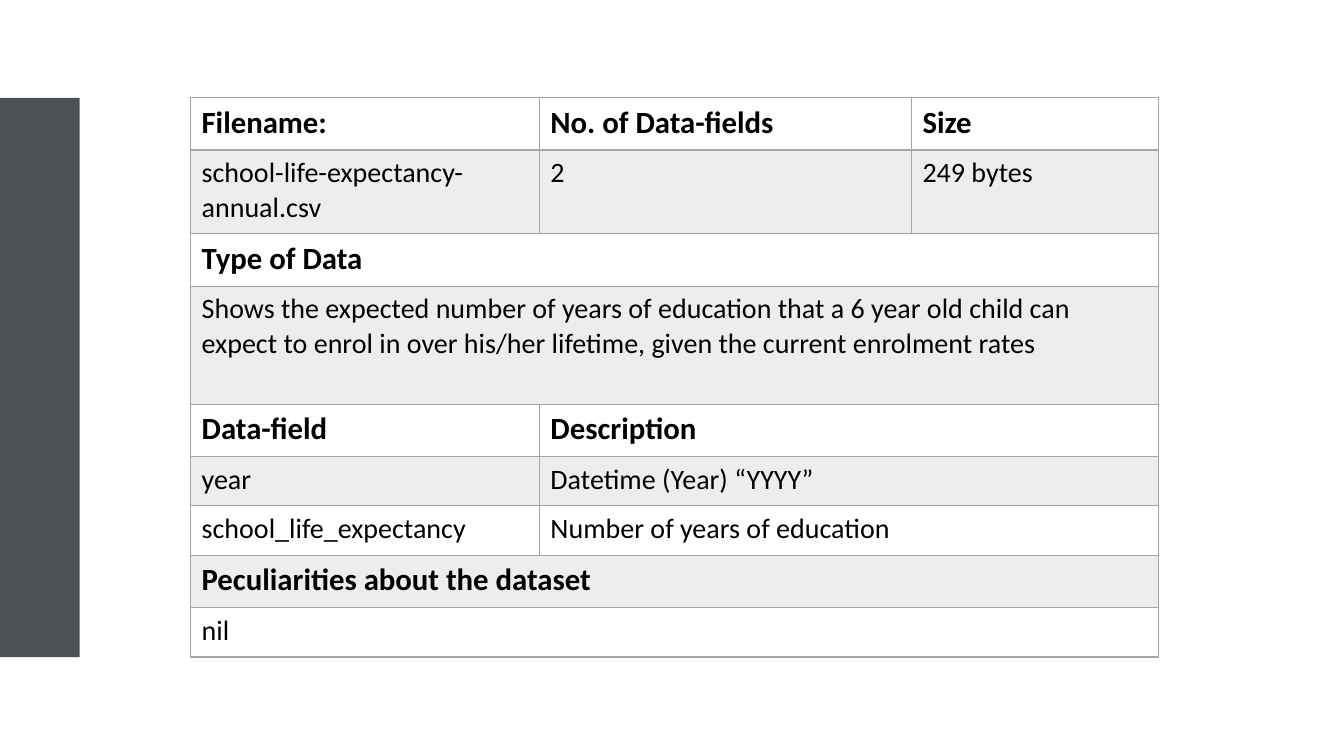
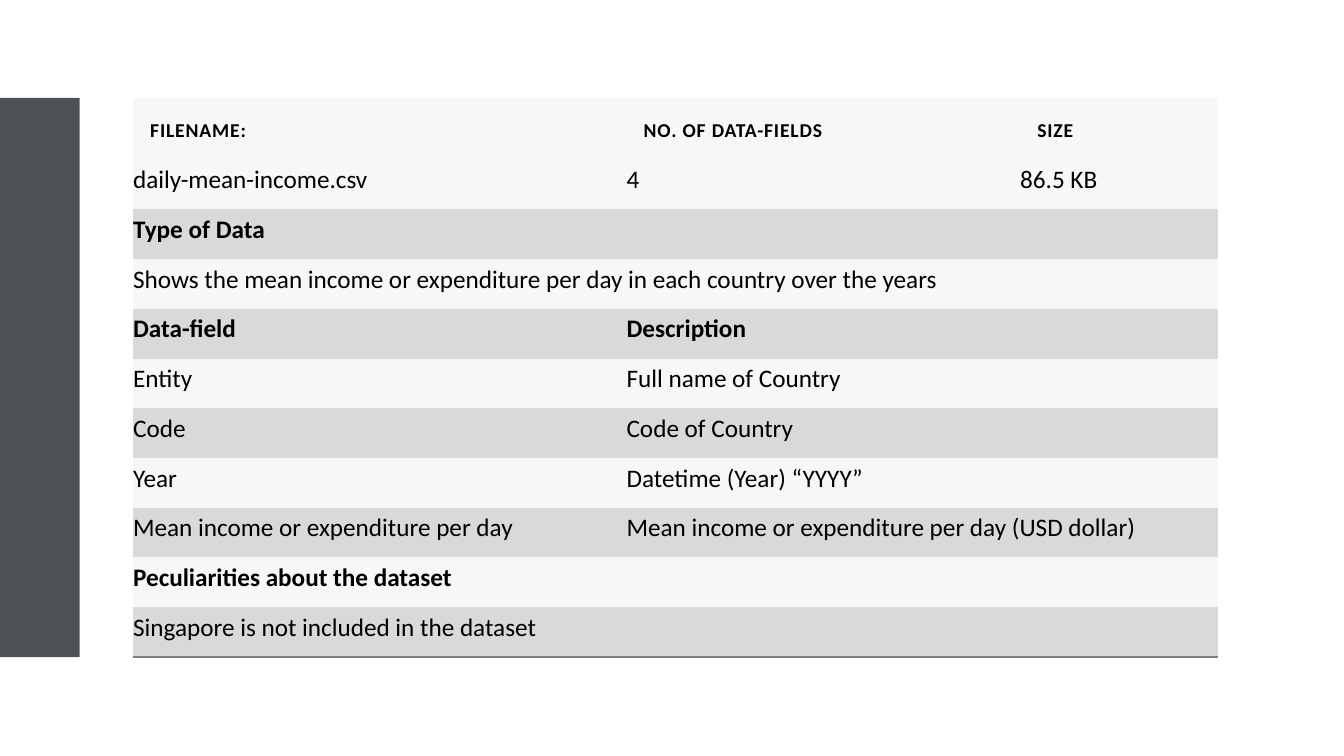
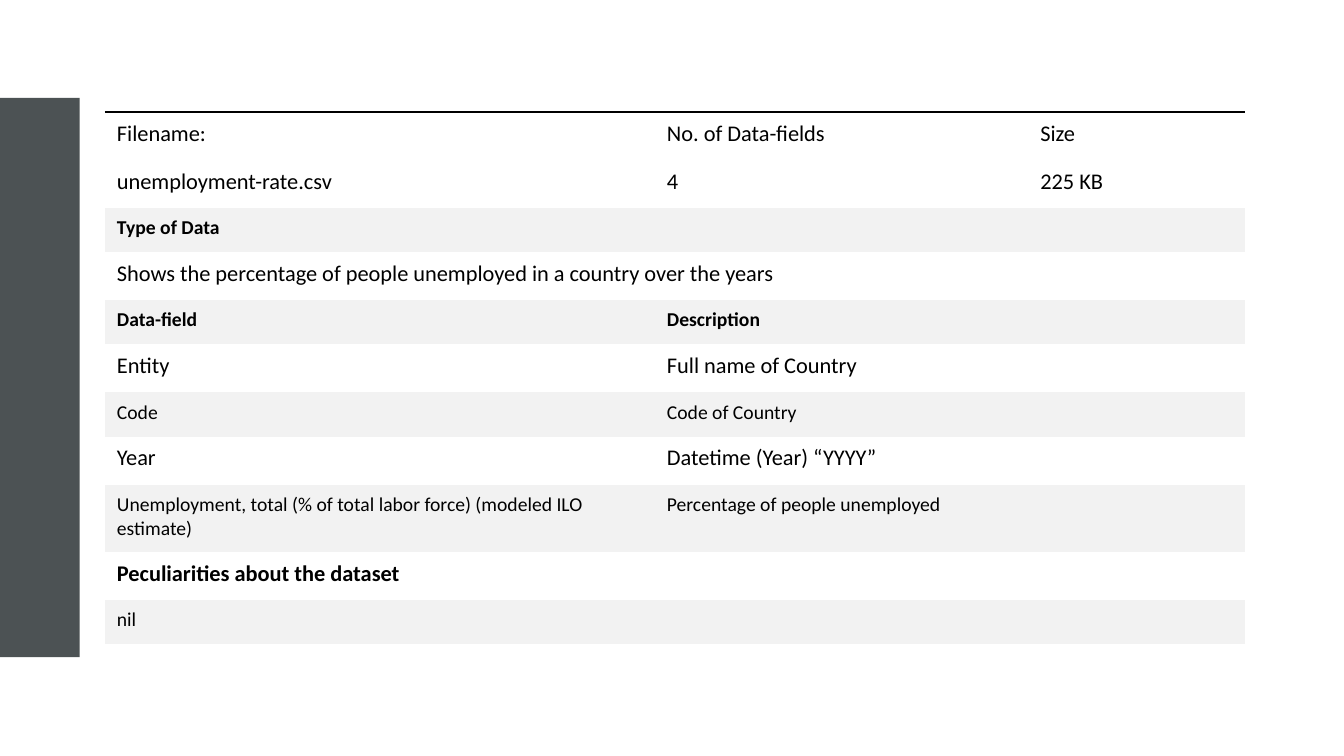
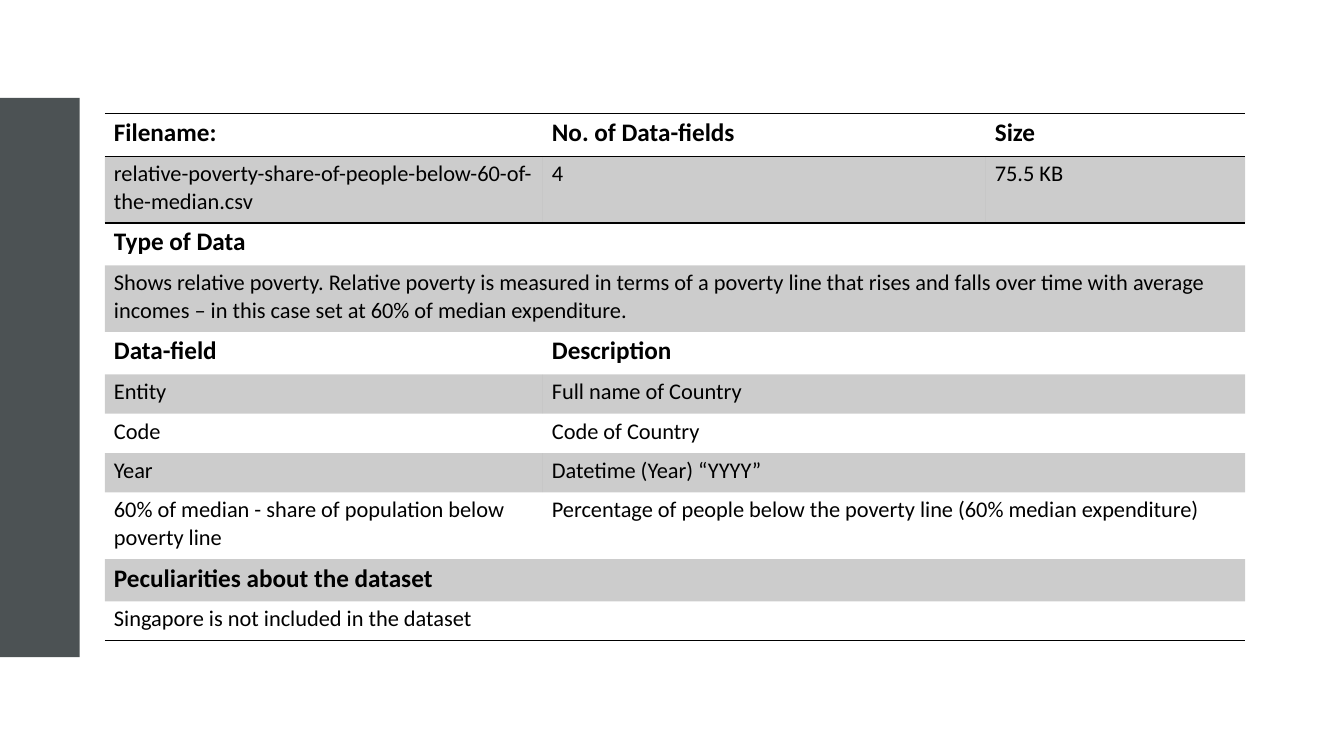
from dataclasses import dataclass, field

from lxml import etree
from pptx import Presentation
from pptx.dml.color import RGBColor
from pptx.enum.shapes import MSO_SHAPE
from pptx.enum.text import MSO_ANCHOR
from pptx.oxml.ns import qn
from pptx.util import Inches, Pt

RECT = MSO_SHAPE.RECTANGLE
TOP = MSO_ANCHOR.TOP
BOTTOM = MSO_ANCHOR.BOTTOM
NO_STYLE = "{2D5ABB26-0587-4C30-8999-92F81FD0307C}"
SIDES = {"l": "a:lnL", "r": "a:lnR", "t": "a:lnT", "b": "a:lnB"}

FONT = "Calibri"
BLACK = "000000"
SLATE = "4C5254"
GRAY = "A5A5A5"
LABELS = ("Filename:", "Type of Data", "Data-field",
          "Peculiarities about the dataset")
HEAD = ["Filename:", "No. of Data-fields", "Size"]
TYPE = ["Type of Data"]
FIELDS = ["Data-field", "Description"]
NOTES = ["Peculiarities about the dataset"]
COUNTRY = [["Entity", "Full name of Country"],
           ["Code", "Code of Country"],
           ["Year", "Datetime (Year) “YYYY”"]]


@dataclass
class Look:
    """How one table is drawn; a fill is (hex, alpha percent) or None."""
    pad: tuple
    even: tuple = None
    odd: tuple = None
    head: tuple = None
    size: int = 16
    label: int = 18
    band: int = None
    bold: bool = True
    caps: bool = False
    edge: dict = field(default_factory=dict)
    lines: dict = field(default_factory=dict)


def rgb(code):
    """Turn a hex string into a colour."""
    return RGBColor.from_string(code)


def paint(fill, tint):
    """Fill with a tint, or with nothing."""
    if tint is None:
        fill.background()
        return
    code, alpha = tint
    fill.solid()
    fill.fore_color.rgb = rgb(code)
    if alpha < 100:
        solid = fill._xPr.find(qn("a:solidFill"))
        etree.SubElement(solid[0], qn("a:alpha"), val=str(alpha * 1000))


def rule(cell, edges):
    """Draw the given edges of a cell, in schema order."""
    props = cell._tc.get_or_add_tcPr()
    for side, tag in SIDES.items():
        if side in edges:
            code, width = edges[side]
            line = etree.SubElement(props, qn(tag), w=str(Pt(width)))
            solid = etree.SubElement(line, qn("a:solidFill"))
            etree.SubElement(solid, qn("a:srgbClr"), val=code)


def fit(parts, items, name, total):
    """Share a total length among rows or columns."""
    for part, item in zip(parts, items):
        setattr(part, name, Inches(item * total / sum(items)))


class Deck:
    """Holds the shared style and the current slide."""

    def __init__(self):
        """Start an empty wide deck."""
        self.prs = Presentation()
        self.prs.slide_width = Inches(13.33)
        self.prs.slide_height = Inches(7.5)
        self.slide = None

    def page(self):
        """Add a blank slide with the side band."""
        self.slide = self.prs.slides.add_slide(self.prs.slide_layouts[6])
        band = self.slide.shapes.add_shape(
            RECT, 0, Inches(0.97), Inches(0.79), Inches(5.55))
        band.shadow.inherit = False
        paint(band.fill, (SLATE, 100))
        band.line.fill.background()

    def text(self, cell, words, size, bold, space=0):
        """Write one run into a cell."""
        run = cell.text_frame.paragraphs[0].add_run()
        run.text = words
        run.font.name = FONT
        run.font.size = Pt(size)
        run.font.bold = bold
        run.font.color.rgb = rgb(BLACK)
        if space:
            run._r.get_or_add_rPr().set("spc", str(space))

    def table(self, box, cols, highs, rows, look):
        """Add a table; the last cell of a short row spans the rest."""
        frame = self.slide.shapes.add_table(
            len(rows), len(cols), *map(Inches, box))
        grid = frame.table
        grid.first_row = grid.horz_banding = False
        next(frame._element.iter(qn("a:tableStyleId"))).text = NO_STYLE
        fit(grid.columns, cols, "width", box[2])
        fit(grid.rows, highs, "height", box[3])
        for i, row in enumerate(rows):
            self.row(grid, i, row, look)

    def row(self, grid, i, row, look):
        """Style and fill one table row."""
        tint = look.head if i == 0 else (look.odd if i % 2 else look.even)
        edges = {**look.edge, **look.lines.get(i, {})}
        last = len(grid.columns) - 1
        for j in range(last + 1):
            rule(grid.cell(i, j), edges)
            paint(grid.cell(i, j).fill, tint)
        if len(row) <= last:
            grid.cell(i, len(row) - 1).merge(grid.cell(i, last))
        bold = row[0] in LABELS and (i > 0 or look.bold)
        size = look.label if bold else look.size
        if look.band and tint:
            size = look.band
        caps = look.caps and i == 0
        pad = (0.17,) * 4 if caps else look.pad
        for j, words in enumerate(row):
            cell = grid.cell(i, j)
            (cell.margin_left, cell.margin_top,
             cell.margin_right, cell.margin_bottom) = map(Inches, pad)
            cell.vertical_anchor = BOTTOM if caps else TOP
            if caps:
                self.text(cell, words.upper(), 14, bold, 60)
            else:
                self.text(cell, words, size, bold)


def school(deck):
    """School life expectancy data."""
    deck.page()
    thin, thick = (GRAY, 1), (GRAY, 2)
    look = Look(pad=(0.11, 0.06, 0.11, 0.06), odd=(GRAY, 20),
                size=20, label=22, edge=dict.fromkeys(SIDES, thin),
                lines={0: {"b": thick}, 1: {"t": thick}})
    rows = [HEAD, ["school-life-expectancy-annual.csv", "2", "249 bytes"],
            TYPE,
            ["Shows the expected number of years of education that a 6 year "
             "old child can expect to enrol in over his/her lifetime, given "
             "the current enrolment rates"],
            FIELDS, ["year", "Datetime (Year) “YYYY”"],
            ["school_life_expectancy", "Number of years of education"],
            NOTES, ["nil"]]
    highs = [0.52, 0.83, 0.52, 1.17, 0.52, 0.49, 0.49, 0.52, 0.49]
    deck.table((1.89, 0.97, 9.6, 5.55), [3.46, 3.69, 2.45], highs, rows, look)


def income(deck):
    """Daily mean income data."""
    deck.page()
    pale = ("F7F7F7", 100)
    look = Look(pad=(0, 0.05, 0.16, 0.11), head=pale, odd=pale,
                even=("D9D9D9", 100), size=18, caps=True,
                lines={10: {"b": ("808080", 1)}})
    rows = [HEAD, ["daily-mean-income.csv", "4", "86.5 KB"], TYPE,
            ["Shows the mean income or expenditure per day in each country "
             "over the years"],
            FIELDS, *COUNTRY,
            ["Mean income or expenditure per day",
             "Mean income or expenditure per day (USD dollar)"],
            NOTES, ["Singapore is not included in the dataset"]]
    highs = [0.61] + [0.49] * 10
    deck.table((1.32, 0.97, 10.76, 5.55), [4.89, 3.9, 1.96], highs, rows, look)


def jobless(deck):
    """Unemployment rate data."""
    deck.page()
    look = Look(pad=(0.12, 0.08, 0.12, 0.08), even=("F2F2F2", 100),
                label=16, band=14, bold=False,
                lines={0: {"t": (BLACK, 2.25)}})
    rows = [HEAD, ["unemployment-rate.csv", "4", "225 KB"], TYPE,
            ["Shows the percentage of people unemployed in a country over "
             "the years"],
            FIELDS, *COUNTRY,
            ["Unemployment, total (% of total labor force) (modeled ILO "
             "estimate)", "Percentage of people unemployed"],
            NOTES, ["nil"]]
    highs = [0.48] + [0.48, 0.44] * 5
    highs[8] = 0.67
    deck.table((1.04, 1.11, 11.31, 5.28), [5.45, 3.7, 2.15], highs, rows, look)


def poverty(deck):
    """Relative poverty data."""
    deck.page()
    line = (BLACK, 1)
    look = Look(pad=(0.09, 0.04, 0.09, 0.04), odd=(BLACK, 20),
                lines={0: {"t": line, "b": line}, 1: {"t": line},
                       10: {"b": line}})
    rows = [HEAD,
            ["relative-poverty-share-of-people-below-60-of-the-median.csv",
             "4", "75.5 KB"],
            TYPE,
            ["Shows relative poverty. Relative poverty is measured in terms "
             "of a poverty line that rises and falls over time with average "
             "incomes – in this case set at 60% of median expenditure."],
            FIELDS, *COUNTRY,
            ["60% of median - share of population below poverty line",
             "Percentage of people below the poverty line "
             "(60% median expenditure)"],
            NOTES, ["Singapore is not included in the dataset"]]
    highs = [0.42, 0.66, 0.42, 0.66, 0.42, 0.39, 0.39, 0.39, 0.66, 0.42, 0.39]
    deck.table((1.04, 1.13, 11.31, 5.23), [4.34, 4.39, 2.57], highs, rows,
               look)


def main():
    """Build and save the deck."""
    deck = Deck()
    for build in (school, income, jobless, poverty):
        build(deck)
    deck.prs.save("out.pptx")


main()
